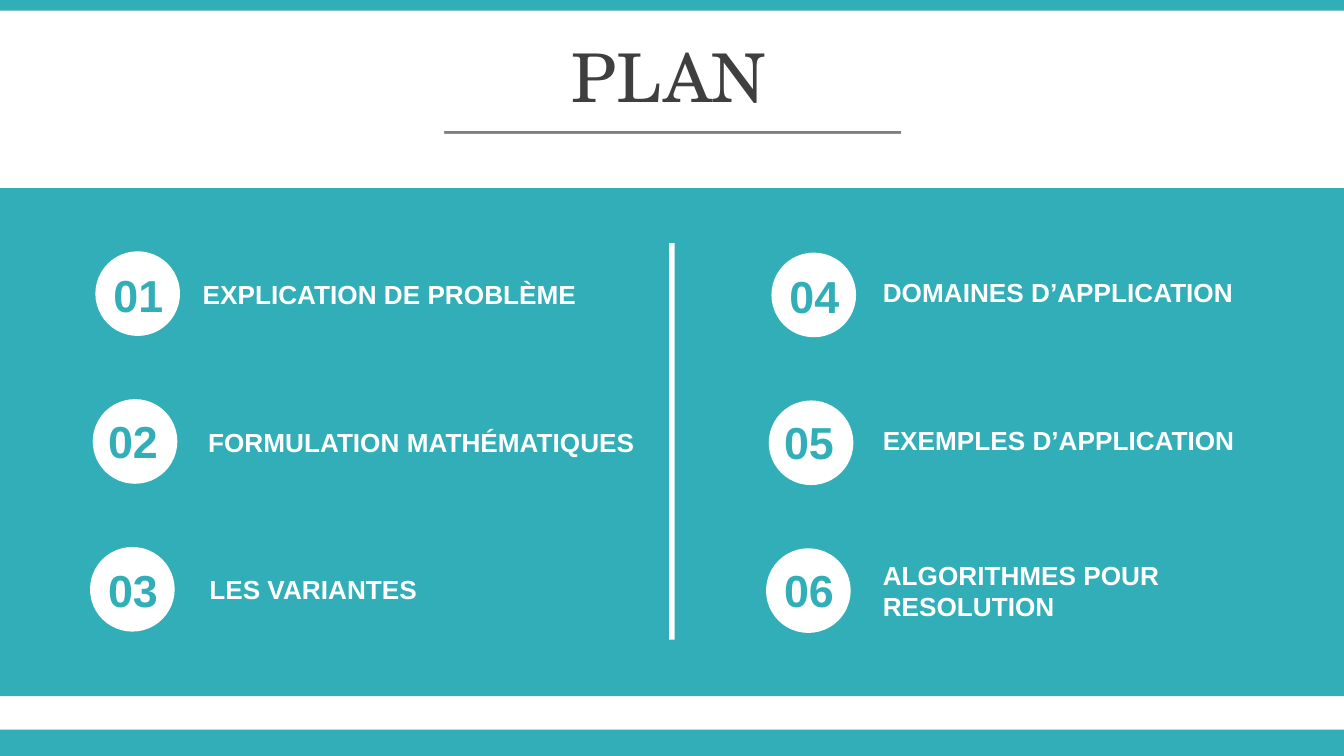
"""Build the plan slide: a title above six numbered topics in two columns."""
import pptx
import pptx.util
import pptx.dml.color
import pptx.enum.shapes
import pptx.enum.text

Inches = pptx.util.Inches
Kind = pptx.enum.shapes.MSO_SHAPE
Align = pptx.enum.text.PP_ALIGN
Anchor = pptx.enum.text.MSO_ANCHOR

COLORS = {"teal": "32AEB8", "white": "FFFFFF", "dark": "3F3F3F", "gray": "7F7F7F"}
TITLE = "PLAN"
BANDS = [(0, 0.08), (1.4, 3.78), (5.43, 0.2)]
COLUMNS = [
    {"disc": (0.71, 1.87), "topics": [
        ("01", (0.68, 1.94), "EXPLICATION DE PROBLÈME", (1.41, 2.02, 3.18, 0.34)),
        ("02", (0.64, 3.03), "FORMULATION MATHÉMATIQUES", (1.45, 3.12, 3.48, 0.34)),
        ("03", (0.64, 4.14), "LES VARIANTES", (1.46, 4.22, 3.26, 0.34)),
    ]},
    {"disc": (5.74, 1.88), "topics": [
        ("04", (5.71, 1.95), "DOMAINES D’APPLICATION", (6.47, 2.01, 2.91, 0.34)),
        ("05", (5.67, 3.04), "EXEMPLES D’APPLICATION", (6.47, 3.11, 2.91, 0.34)),
        ("06", (5.67, 4.14), "ALGORITHMES POUR RESOLUTION", (6.47, 4.11, 2.91, 0.57)),
    ]},
]
DISC = 0.63
STEP = 1.1
SHIFT = -0.02


def paint(name):
    return pptx.dml.color.RGBColor.from_string(COLORS[name])


def add_form(slide, kind, box, fill):
    form = slide.shapes.add_shape(kind, *map(Inches, box))
    form.shadow.inherit = False
    form.fill.solid()
    form.fill.fore_color.rgb = paint(fill)
    form.line.fill.background()
    return form


def add_text(slide, text, box, size, color, align=Align.LEFT,
             font="Arial", bold=True, anchor=Anchor.TOP):
    frame = slide.shapes.add_textbox(*map(Inches, box)).text_frame
    frame.word_wrap = True
    frame.vertical_anchor = anchor
    para = frame.paragraphs[0]
    para.text = text
    para.alignment = align
    para.font.name = font
    para.font.size = pptx.util.Pt(size)
    para.font.bold = bold
    para.font.color.rgb = paint(color)


def main():
    deck = pptx.Presentation()
    deck.slide_width = Inches(10)
    deck.slide_height = deck.slide_width * 9 // 16
    slide = deck.slides.add_slide(deck.slide_layouts[6])

    for top, height in BANDS:
        add_form(slide, Kind.RECTANGLE, (0, top, 10, height), "teal")
    add_text(slide, TITLE, (-0.02, 0.25, 10, 0.63), 36, "dark", Align.CENTER,
             "TeX Gyre Schola", False, Anchor.MIDDLE)
    rule = add_form(slide, Kind.ROUNDED_RECTANGLE, (3.29, 0.96, 3.43, 0.05), "gray")
    rule.line.color.rgb = paint("white")
    rule.line.width = pptx.util.Pt(2)
    add_form(slide, Kind.RECTANGLE, (4.98, 1.81, 0.04, 2.95), "white")

    for column in COLUMNS:
        left, top = column["disc"]
        for row, (number, spot, topic, box) in enumerate(column["topics"]):
            place = (left + row * SHIFT, top + row * STEP, DISC, DISC)
            add_form(slide, Kind.OVAL, place, "white")
            add_text(slide, number, (*spot, 0.7, 0.5), 24, "teal", Align.CENTER)
            add_text(slide, topic, box, 14, "white")

    deck.save("out.pptx")


if __name__ == "__main__":
    main()
